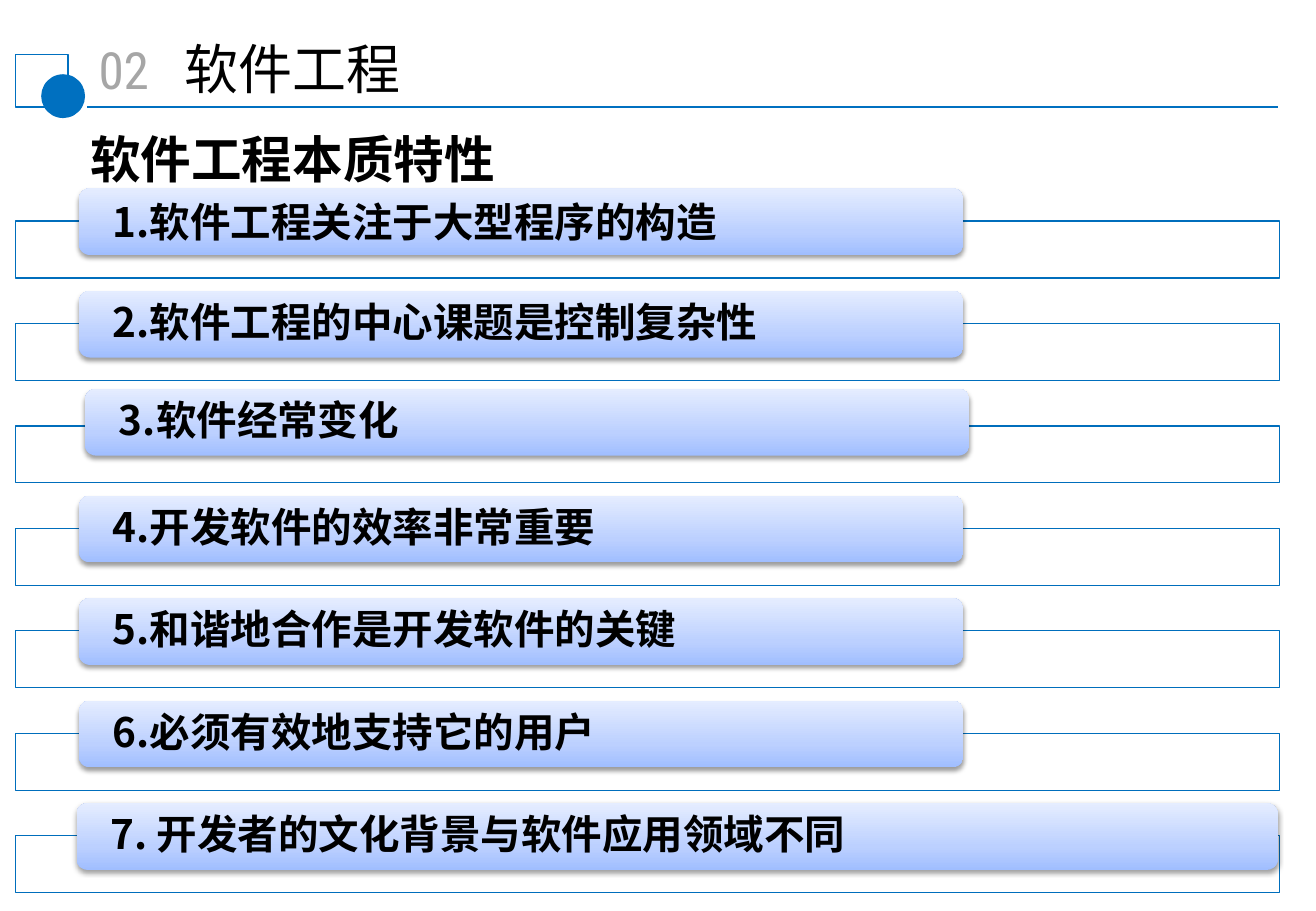
from pptx import Presentation
from pptx.dml.color import RGBColor
from pptx.enum.shapes import MSO_CONNECTOR, MSO_SHAPE
from pptx.enum.text import MSO_ANCHOR, PP_ALIGN
from pptx.oxml import parse_xml
from pptx.oxml.ns import nsdecls, qn
from pptx.util import Pt
from lxml.etree import SubElement

BLUE = RGBColor(0x00, 0x70, 0xC0)
FRAME_BLUE = RGBColor(0x00, 0x6E, 0xBC)
GREY = RGBColor(0xA6, 0xA6, 0xA6)
BLACK = RGBColor(0x00, 0x00, 0x00)
WHITE = RGBColor(0xFF, 0xFF, 0xFF)
BAR_STOPS = [
    (0, RGBColor(0xA0, 0xBE, 0xFF)),
    (35, RGBColor(0xBC, 0xD0, 0xFF)),
    (100, RGBColor(0xE5, 0xED, 0xFF)),
]

CJK_FONT = "Noto Sans CJK SC"
PITCH = 60.74
FRAME_TOP = 131
BAR_TOP = 111.6
BAR_LEFT, BAR_WIDTH = 46.8, 524.2

TRAITS = [
    "1.软件工程关注于大型程序的构造",
    "2.软件工程的中心课题是控制复杂性",
    "3.软件经常变化",
    "4.开发软件的效率非常重要",
    "5.和谐地合作是开发软件的关键",
    "6.必须有效地支持它的用户",
    "7. 开发者的文化背景与软件应用领域不同",
]
BAR_EXCEPTIONS = {2: (50.4, -2.6, BAR_WIDTH), 6: (45.4, 0, 712)}


def write(shape, text, size, font, color=BLACK, bold=False,
          align=PP_ALIGN.LEFT, anchor=MSO_ANCHOR.TOP, insets=(7.9, 3.6)):
    frame = shape.text_frame
    frame.word_wrap = True
    frame.vertical_anchor = anchor
    frame.margin_left = frame.margin_right = Pt(insets[0])
    frame.margin_top = frame.margin_bottom = Pt(insets[1])
    para = frame.paragraphs[0]
    para.alignment = align
    span = para.add_run()
    span.text = text
    span.font.size = Pt(size)
    span.font.bold = bold
    span.font.name = font
    span.font.color.rgb = color
    SubElement(span.font._element, qn("a:ea")).set("typeface", font)
    return para


def add_text(page, left, top, width, height, *content, **style):
    box = page.shapes.add_textbox(Pt(left), Pt(top), Pt(width), Pt(height))
    write(box, *content, **style)


def add_plain_shape(page, kind, left, top, width, height, fill=None, line=None):
    shape = page.shapes.add_shape(kind, Pt(left), Pt(top), Pt(width), Pt(height))
    shape.shadow.inherit = False
    if fill is None:
        shape.fill.background()
    else:
        shape.fill.solid()
        shape.fill.fore_color.rgb = fill
    if line is None:
        shape.line.fill.background()
    else:
        shape.line.color.rgb = line
        shape.line.width = Pt(0.75)
    return shape


def add_rule(page, left, right, top):
    rule = page.shapes.add_connector(
        MSO_CONNECTOR.STRAIGHT, Pt(left), Pt(top), Pt(right), Pt(top))
    rule.line.color.rgb = BLUE
    rule.line.width = Pt(1.25)
    SubElement(rule._element.spPr, qn("a:effectLst"))


def add_frame(page, top):
    frame = add_plain_shape(page, MSO_SHAPE.RECTANGLE, 9.4, top, 748.8, 33.8,
                            WHITE, FRAME_BLUE)
    color = frame._element.spPr.find(qn("a:solidFill"))[0]
    SubElement(color, qn("a:alpha")).set("val", "90000")


def add_bar(page, left, top, width, text):
    bar = add_plain_shape(page, MSO_SHAPE.ROUNDED_RECTANGLE, left, top, width, 39.6)
    properties = bar._element.spPr
    stops = "".join(
        f'<a:gs pos="{place * 1000}"><a:srgbClr val="{color}"/></a:gs>'
        for place, color in BAR_STOPS)
    gradient = parse_xml(
        f'<a:gradFill {nsdecls("a")} rotWithShape="1"><a:gsLst>{stops}</a:gsLst>'
        '<a:lin ang="16200000" scaled="0"/></a:gradFill>')
    properties.replace(properties.find(qn("a:noFill")), gradient)
    shadow = parse_xml(
        f'<a:outerShdw {nsdecls("a")} blurRad="{Pt(3.1)}" dist="{Pt(1.6)}" '
        'dir="5400000" rotWithShape="0"><a:srgbClr val="000000">'
        '<a:alpha val="38000"/></a:srgbClr></a:outerShdw>')
    properties.find(qn("a:effectLst")).append(shadow)
    return write(bar, text, 24, CJK_FONT, bold=True,
                 anchor=MSO_ANCHOR.MIDDLE, insets=(18.2, 0))


def add_header(page):
    add_rule(page, 51.8, 757.4, 63.4)
    add_plain_shape(page, MSO_SHAPE.RECTANGLE, 9.4, 32.4, 31, 31, line=BLUE)
    add_plain_shape(page, MSO_SHAPE.OVAL, 24.4, 44, 26, 26, fill=BLUE)
    add_text(page, 37.4, 19.4, 72, 44.6, "02", 30.4, "Roboto Condensed", GREY,
             align=PP_ALIGN.CENTER)
    add_text(page, 101.5, 17.3, 356.4, 46.8, "软件工程", 32, "Arial")
    add_text(page, 39.6, 71.3, 513.4, 44.6, "软件工程本质特性", 30, CJK_FONT,
             bold=True, anchor=MSO_ANCHOR.MIDDLE, insets=(13.9, 3.6))


def add_traits(page):
    for index, trait in enumerate(TRAITS):
        left, shift, width = BAR_EXCEPTIONS.get(index, (BAR_LEFT, 0, BAR_WIDTH))
        add_frame(page, FRAME_TOP + index * PITCH)
        para = add_bar(page, left, BAR_TOP + index * PITCH + shift, width, trait)
        if index > 0:
            para.line_spacing = 0.9


def main():
    deck = Presentation()
    deck.slide_width, deck.slide_height = Pt(780), Pt(540)
    page = deck.slides.add_slide(deck.slide_layouts[6])
    add_header(page)
    add_traits(page)
    deck.save("out.pptx")


if __name__ == "__main__":
    main()
